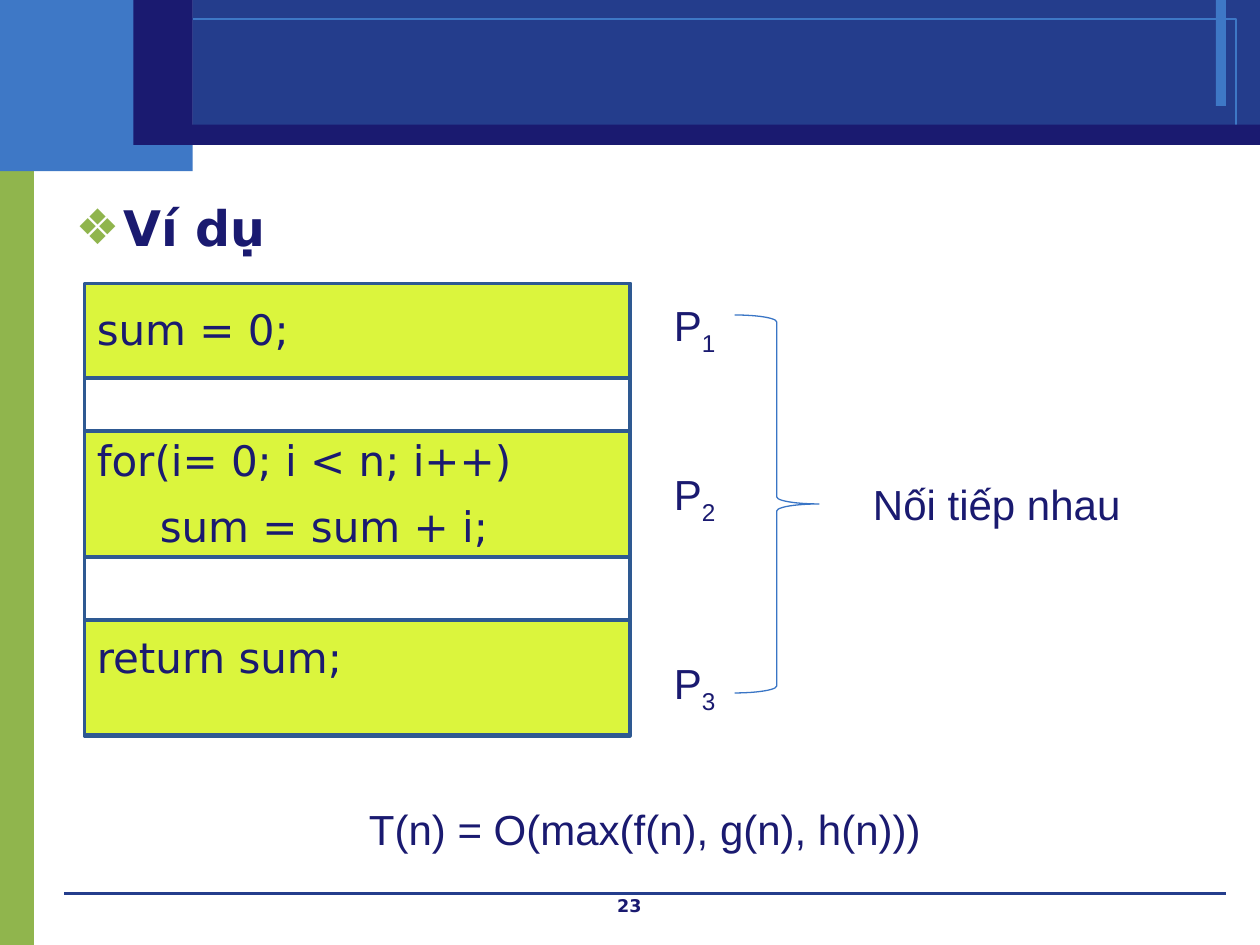
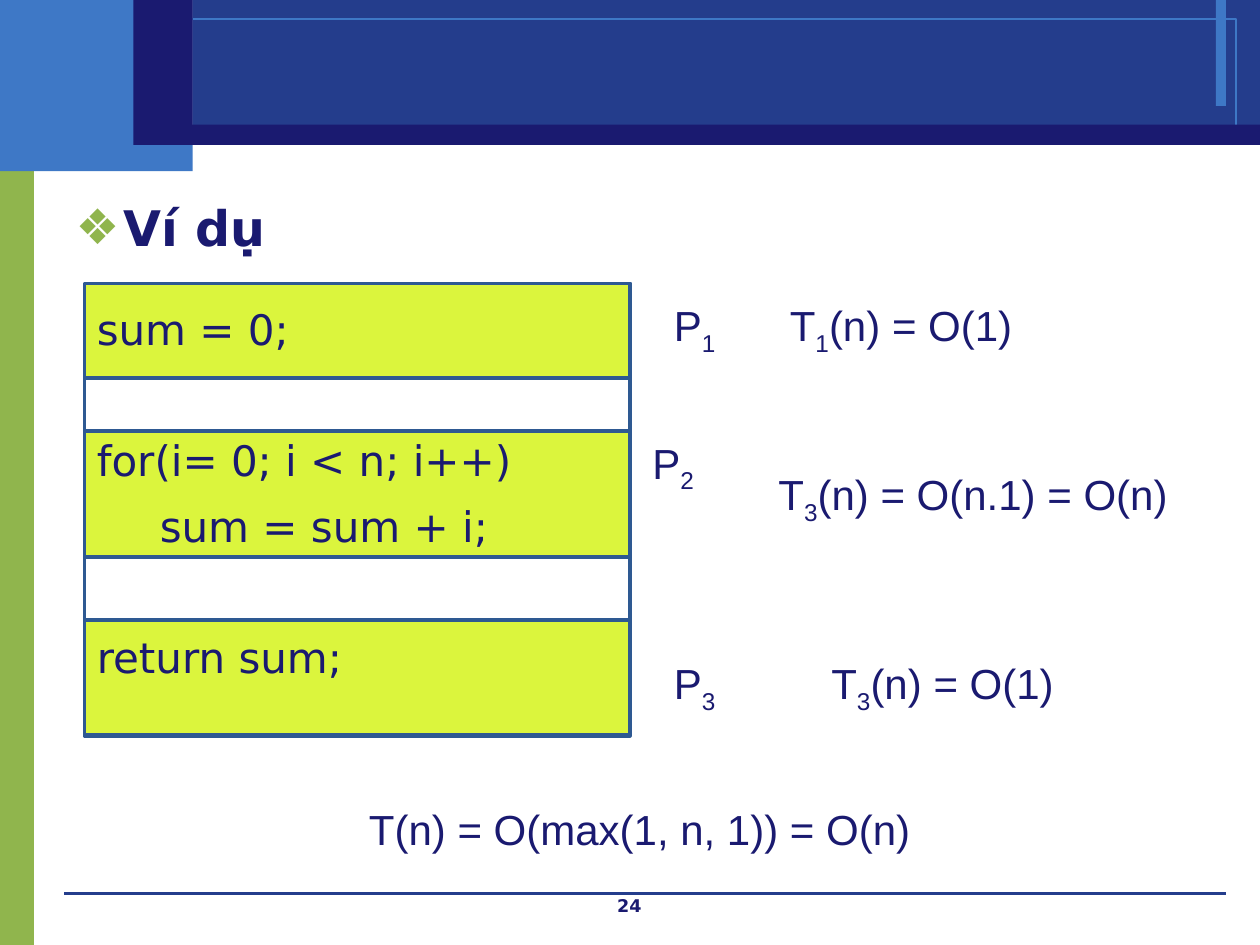
from lxml import etree
from pptx import Presentation
from pptx.dml.color import RGBColor
from pptx.enum import shapes, text
from pptx.oxml import ns
from pptx.util import Inches, Pt

COLORS = {
    "navy": "1A1A70", "blue": "243D8C", "sky": "3E78C6", "green": "90B54D",
    "lime": "DBF53D", "frame": "2E5992", "brace": "3975C5",
}
CODE_FONT = "DejaVu Sans"
LABEL_FONT = "Arial"
BLANK_LINE = 37.5

BANDS = [
    ((0, 1.07, 0.27, 6.44), "green", None),
    ((0, 0, 1.53, 1.36), "sky", None),
    ((1.53, 0, 8.47, 1.15), "blue", None),
    ((9.65, 0, 0.08, 0.84), "sky", None),
    ((0.2, 0.15, 9.61, 0.85), None, "sky"),
    ((1.3, 0.99, 8.7, 0.16), "navy", None),
    ((1.06, 0, 0.47, 1.15), "navy", None),
]
CODE_LEFT, CODE_TOP, CODE_WIDTH, CODE_HEIGHT = 0.67, 2.25, 4.33, 3.58
CODE_BLOCKS = [(4.92, 0.92), (3.42, 1), (2.25, 0.75)]
CODE_LINES = [  # text, space before in points
    ("sum = 0;", 0),
    ("for(i= 0; i < n; i++)", BLANK_LINE),
    ("\tsum = sum + i;", 0),
    ("return sum;", BLANK_LINE),
]


def color(name):
    return RGBColor.from_string(COLORS[name])


def set_font(paragraph, name, size, bold=False):
    font = paragraph.font
    font.name, font.size, font.bold = name, Pt(size), bold
    font.color.rgb = color("navy")


def add_box(slide, box, fill=None, line=None, width=0,
            kind=shapes.MSO_SHAPE.RECTANGLE):
    shape = slide.shapes.add_shape(kind, *map(Inches, box))
    shape.shadow.inherit = False
    if fill:
        shape.fill.solid()
        shape.fill.fore_color.rgb = color(fill)
    else:
        shape.fill.background()
    if line:
        shape.line.color.rgb = color(line)
        shape.line.width = Pt(width)
    else:
        shape.line.fill.background()
    return shape


def add_rule(slide):
    rule = slide.shapes.add_connector(
        shapes.MSO_CONNECTOR.STRAIGHT, *map(Inches, (0.51, 7.09, 9.73, 7.09)))
    rule.line.color.rgb = color("blue")
    rule.line.width = Pt(0)
    etree.SubElement(rule.element.spPr, ns.qn("a:effectLst"))
    return rule


def move_bands_to_layout(slide, layout):
    """Draw the bands with the slide's methods, then hand them to the layout."""
    bands = [add_box(slide, *band) for band in BANDS]
    bands.insert(5, add_rule(slide))
    for band in bands:
        layout.shapes.element.append(band.element)


def clear_layout_footers(layout):
    kinds = shapes.PP_PLACEHOLDER
    footers = (kinds.DATE, kinds.FOOTER, kinds.SLIDE_NUMBER)
    for placeholder in list(layout.placeholders):
        if placeholder.placeholder_format.type in footers:
            layout.shapes.element.remove(placeholder.element)


def add_label(slide, left, top, width, label):
    """Add text in which each part between underscores is a subscript."""
    box = slide.shapes.add_textbox(*map(Inches, (left, top, width, 0.5)))
    box.text_frame.word_wrap = True
    paragraph = box.text_frame.paragraphs[0]
    set_font(paragraph, LABEL_FONT, 24)
    for index, part in enumerate(label.split("_")):
        if part:
            run = paragraph.add_run()
            run.text = part
            if index % 2:
                run._r.get_or_add_rPr().set("baseline", "-25000")


def add_number(slide, number):
    box = slide.shapes.add_textbox(*map(Inches, (3.83, 7.05, 2.33, 0.25)))
    box.text_frame.word_wrap = True
    paragraph = box.text_frame.paragraphs[0]
    paragraph.text = str(number)
    paragraph.alignment = text.PP_ALIGN.CENTER
    set_font(paragraph, CODE_FONT, 10, bold=True)


def fill_body(slide, heading):
    body = slide.placeholders[1]
    body.left, body.top, body.width, body.height = map(
        Inches, (0.5, 1.38, 9, 5.74))
    body.text_frame.auto_size = text.MSO_AUTO_SIZE.NONE
    paragraph = body.text_frame.paragraphs[0]
    paragraph.text = heading
    paragraph.alignment = text.PP_ALIGN.JUSTIFY
    paragraph.line_spacing = 1.3
    paragraph.space_before = Pt(5.6)
    properties = paragraph._p.get_or_add_pPr()
    properties.set("marL", str(Inches(0.38)))
    properties.set("indent", str(Inches(-0.38)))
    bullet_color = etree.SubElement(properties, ns.qn("a:buClr"))
    etree.SubElement(bullet_color, ns.qn("a:srgbClr"), val=COLORS["green"])
    etree.SubElement(properties, ns.qn("a:buFont"), typeface=CODE_FONT)
    etree.SubElement(properties, ns.qn("a:buChar"), char="❖")
    set_font(paragraph, CODE_FONT, 28, bold=True)


def add_code(slide):
    for top, height in CODE_BLOCKS:
        add_box(slide, (CODE_LEFT, top, CODE_WIDTH, height), "lime", "frame", 2)
    frame = add_box(slide, (CODE_LEFT, CODE_TOP, CODE_WIDTH, CODE_HEIGHT),
                    None, "frame", 2).text_frame
    frame.word_wrap = True
    frame.vertical_anchor = text.MSO_ANCHOR.TOP
    frame.margin_top = Inches(0.04)
    for index, (line, space) in enumerate(CODE_LINES):
        paragraph = frame.add_paragraph() if index else frame.paragraphs[0]
        paragraph.add_run().text = line
        paragraph.alignment = text.PP_ALIGN.JUSTIFY
        paragraph.line_spacing = 1.3
        paragraph.space_before = Pt(space)
        set_font(paragraph, CODE_FONT, 24)


def add_example(presentation, layout, number, labels):
    slide = presentation.slides.add_slide(layout)
    title = slide.shapes.title
    title.element.getparent().remove(title.element)
    fill_body(slide, "Ví dụ")
    add_number(slide, number)
    add_code(slide)
    for label in labels:
        add_label(slide, *label)
    return slide


def main():
    presentation = Presentation()
    presentation.slide_width, presentation.slide_height = Inches(10), Inches(7.5)
    layout = presentation.slide_layouts[1]
    clear_layout_footers(layout)

    sequence = add_example(presentation, layout, 23, [
        (5.25, 2.33, 0.67, "P_1_"),
        (5.25, 3.67, 0.67, "P_2_"),
        (5.25, 5.17, 0.67, "P_3_"),
        (6.83, 3.75, 2.19, "Nối tiếp nhau"),
        (2.83, 6.33, 4.62, "T(n) = O(max(f(n), g(n), h(n)))"),
    ])
    add_box(sequence, (5.83, 2.5, 0.67, 3), None, "brace", 0.75,
            shapes.MSO_SHAPE.RIGHT_BRACE)
    move_bands_to_layout(sequence, layout)

    add_example(presentation, layout, 24, [
        (5.25, 2.33, 0.67, "P_1_"),
        (5.08, 3.42, 0.67, "P_2_"),
        (5.25, 5.17, 0.67, "P_3_"),
        (2.83, 6.33, 4.54, "T(n) = O(max(1, n, 1)) = O(n)"),
        (6.17, 2.33, 2.25, "T_1_(n) = O(1)"),
        (6.5, 5.17, 2.33, "T_3_(n) = O(1)"),
        (6.08, 3.67, 3.5, "T_3_(n) = O(n.1) = O(n)"),
    ])
    presentation.save("out.pptx")


if __name__ == "__main__":
    main()
